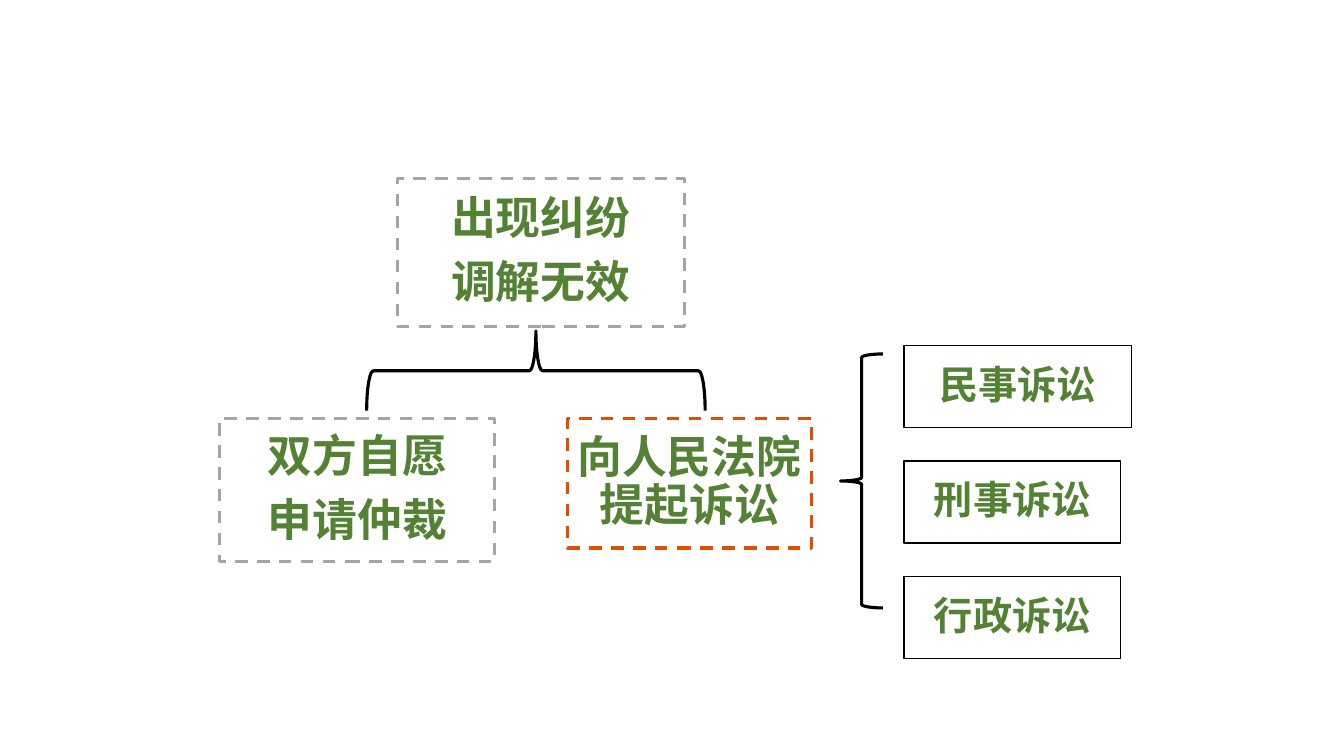
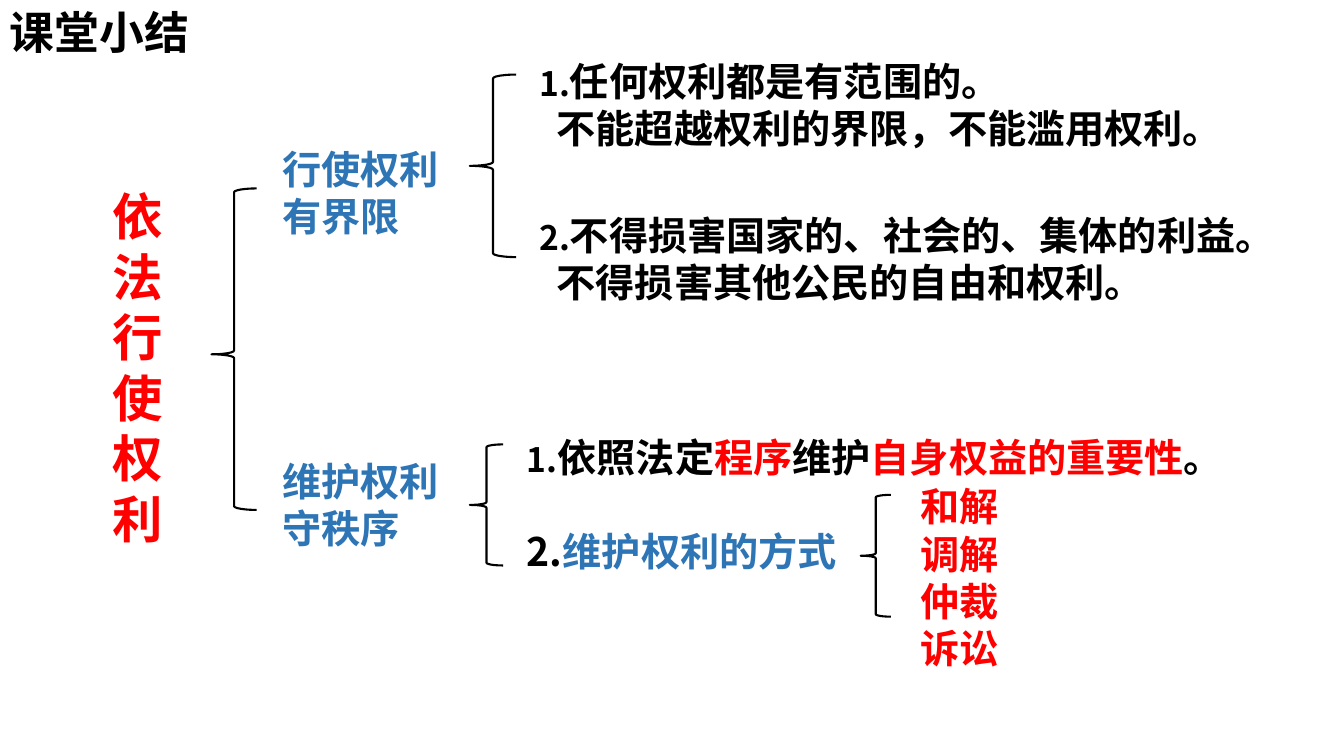
from dataclasses import dataclass

from lxml import etree
from pptx import Presentation
from pptx.dml.color import RGBColor
from pptx.enum.dml import MSO_LINE
from pptx.enum.shapes import MSO_SHAPE
from pptx.enum.text import MSO_ANCHOR, MSO_AUTO_SIZE, PP_ALIGN
from pptx.oxml.ns import qn
from pptx.slide import Slide
from pptx.text.text import Font
from pptx.util import Cm, Pt

RECTANGLE = MSO_SHAPE.RECTANGLE
LEFT_BRACE = MSO_SHAPE.LEFT_BRACE
DASH = MSO_LINE.DASH
CENTER = PP_ALIGN.CENTER
MIDDLE = MSO_ANCHOR.MIDDLE
FIT_TEXT = MSO_AUTO_SIZE.SHAPE_TO_FIT_TEXT

LATIN_FONT = "Arial"
CHINESE_FONT = "Noto Sans CJK SC"
BLACK, RED, BLUE = "000000", "FF0000", "2E75B6"
GREEN, GRAY, ORANGE = "548235", "A5A5A5", "DE5000"


@dataclass(frozen=True)
class Area:
    """Left, top, width and height in centimetres."""
    left: float
    top: float
    width: float
    height: float

    def lengths(self) -> tuple[Cm, Cm, Cm, Cm]:
        return Cm(self.left), Cm(self.top), Cm(self.width), Cm(self.height)


@dataclass(frozen=True)
class Node:
    area: Area
    lines: tuple[str, ...]
    border: str = GRAY
    size: int = 32
    weight: float = 2.25
    dashed: bool = True


@dataclass(frozen=True)
class Brace:
    area: Area
    weight: float = 1.5
    rotation: int = 0
    point: float = 0.5


@dataclass(frozen=True)
class Span:
    text: str
    color: str = BLACK
    size: int = 28


@dataclass(frozen=True)
class Para:
    spans: tuple[Span, ...]
    indent: float = 0
    before: int = 0
    spacing: float = 1


@dataclass(frozen=True)
class Note:
    area: Area
    paras: tuple[Para, ...]


def color_of(hex_code: str) -> RGBColor:
    return RGBColor.from_string(hex_code)


def style_font(font: Font, name: str, size: int, color: str) -> None:
    font.name, font.size, font.bold = name, Pt(size), True
    font.color.rgb = color_of(color)


def add_chinese_font(font: Font) -> None:
    latin = font._element.find(qn("a:latin"))
    east_asian = etree.Element(qn("a:ea"), typeface=CHINESE_FONT)
    latin.addnext(east_asian)


def plain(text: str, color: str, size: int = 28) -> Para:
    return Para((Span(text, color, size),))


def draw_node(page: Slide, node: Node) -> None:
    box = page.shapes.add_shape(RECTANGLE, *node.area.lengths())
    box.shadow.inherit = False
    box.fill.background()
    box.line.color.rgb = color_of(node.border)
    box.line.width = Pt(node.weight)
    if node.dashed:
        box.line.dash_style = DASH
    frame = box.text_frame
    frame.word_wrap = True
    frame.vertical_anchor = MIDDLE
    frame.margin_left = frame.margin_right = Cm(0.05)
    frame.margin_top = frame.margin_bottom = Cm(0.05)
    for index, line in enumerate(node.lines):
        paragraph = frame.add_paragraph() if index else frame.paragraphs[0]
        paragraph.text = line
        paragraph.alignment = CENTER
        paragraph.line_spacing = 0.9
        paragraph.space_after = Pt(round(0.35 * node.size, 1))
        style_font(paragraph.font, LATIN_FONT, node.size, GREEN)
        add_chinese_font(paragraph.font)


def draw_brace(page: Slide, brace: Brace) -> None:
    shape = page.shapes.add_shape(LEFT_BRACE, *brace.area.lengths())
    shape.shadow.inherit = False
    shape.fill.background()
    shape.line.color.rgb = color_of(BLACK)
    shape.line.width = Pt(brace.weight)
    shape.rotation = brace.rotation
    shape.adjustments[1] = brace.point


def draw_note(page: Slide, note: Note) -> None:
    frame = page.shapes.add_textbox(*note.area.lengths()).text_frame
    frame.word_wrap = True
    frame.auto_size = FIT_TEXT
    for index, para in enumerate(note.paras):
        paragraph = frame.add_paragraph() if index else frame.paragraphs[0]
        if para.indent:
            properties = paragraph._p.get_or_add_pPr()
            properties.set("marL", str(Cm(para.indent)))
        if para.before:
            paragraph.space_before = Pt(para.before)
        paragraph.line_spacing = para.spacing
        first = para.spans[0]
        style_font(paragraph.font, CHINESE_FONT, first.size, first.color)
        add_chinese_font(paragraph.font)
        for span in para.spans:
            run = paragraph.add_run()
            run.text = span.text
            if span.size != first.size:
                run.font.size = Pt(span.size)
            if span.color != first.color:
                run.font.color.rgb = color_of(span.color)


# Dispute resolution: tree and the three kinds of lawsuit
LAWSUIT_TOP, LAWSUIT_PITCH = 8.71, 2.91
LAWSUITS = (("民事诉讼", 5.74), ("刑事诉讼", 5.46), ("行政诉讼", 5.46))
NODES = [
    Node(Area(10.01, 4.5, 7.24, 3.72), ("出现纠纷", "调解无效")),
    Node(Area(5.54, 10.54, 6.93, 3.61), ("双方自愿", "申请仲裁")),
    Node(Area(14.3, 10.54, 6.15, 3.27), ("向人民法院提起诉讼",), ORANGE),
] + [
    Node(Area(22.78, LAWSUIT_TOP + row * LAWSUIT_PITCH, width, 2.06),
         (label,), BLACK, 28, 1, False)
    for row, (label, width) in enumerate(LAWSUITS)
]
TREE_BRACES = [
    Brace(Area(21.18, 8.92, 1.07, 6.4), 2.25),
    Brace(Area(12.5, 5.08, 2.01, 8.53), 2.25, 90),
]

# Class summary: outline from left to right
INDENT = 0.44
NOTES = [
    Note(Area(0, 0, 5.59, 1.63), (plain("课堂小结", BLACK, 32),)),
    Note(Area(2.59, 4.55, 2.01, 9.47), (plain("依法行使权利", RED, 36),)),
    Note(Area(6.86, 3.53, 4.52, 2.64), (plain("行使权利有界限", BLUE),)),
    Note(Area(13.34, 1.32, 18.9, 6.58), (
        Para((Span("1.", size=24), Span("任何权利都是有范围的。"))),
        Para((Span("不能超越权利的界限，不能滥用权利。"),), INDENT),
        Para((Span("2.", size=24), Span("不得损害国家的、社会的、集体的利益。")),
             before=43),
        Para((Span("不得损害其他公民的自由和权利。"),), INDENT),
    )),
    Note(Area(6.86, 11.4, 4.7, 2.64), (plain("维护权利守秩序", BLUE),)),
    Note(Area(13.03, 10.8, 18.67, 3.84), (
        Para((Span("1.", size=24), Span("依照法定"), Span("程序", RED),
              Span("维护"), Span("自身权益的重要性", RED), Span("。"))),
        Para((Span("2."), Span("维护权利的方式", BLUE)), spacing=2),
    )),
    Note(Area(22.94, 12.04, 2.82, 5.05),
         tuple(plain(text, RED) for text in ("和解调解", "仲裁", "诉讼"))),
]
OUTLINE_BRACES = [
    Brace(Area(5.33, 4.75, 1.14, 8.1), point=0.516),
    Brace(Area(11.84, 1.88, 1.17, 4.6)),
    Brace(Area(11.84, 11.2, 0.84, 3.05)),
    Brace(Area(21.69, 12.47, 0.76, 3.07)),
]


def main() -> None:
    deck = Presentation()
    deck.slide_width, deck.slide_height = Cm(33.87), Cm(19.05)
    blank = deck.slide_layouts[6]

    dispute_page = deck.slides.add_slide(blank)
    for node in NODES:
        draw_node(dispute_page, node)
    for brace in TREE_BRACES:
        draw_brace(dispute_page, brace)

    summary_page = deck.slides.add_slide(blank)
    for note in NOTES:
        draw_note(summary_page, note)
    for brace in OUTLINE_BRACES:
        draw_brace(summary_page, brace)

    deck.save("out.pptx")


if __name__ == "__main__":
    main()
